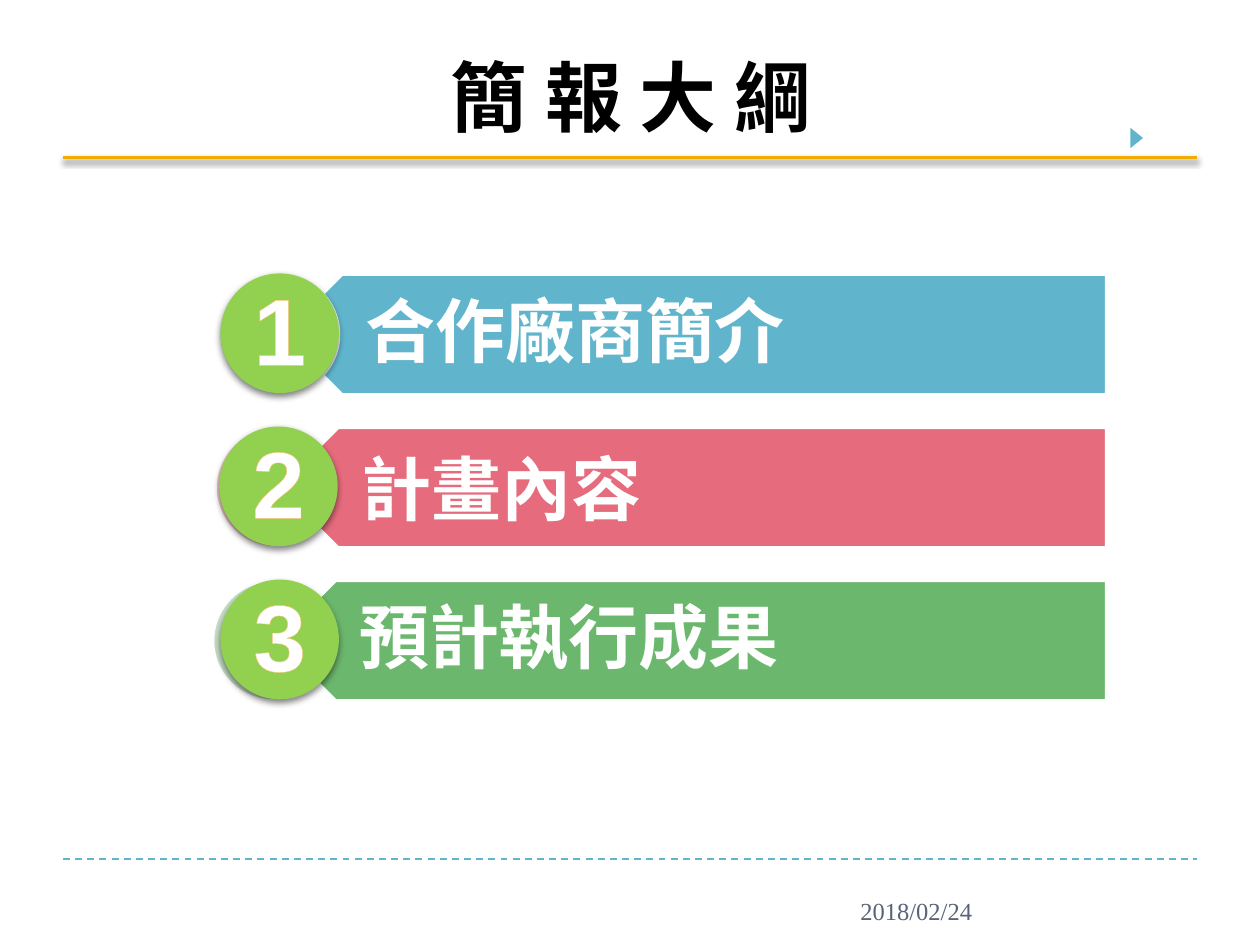
from lxml.etree import SubElement as Sub
from pptx import Presentation
from pptx.dml.color import RGBColor as RGB
from pptx.enum.dml import MSO_LINE as Dash
from pptx.enum.shapes import MSO_CONNECTOR as Conn, MSO_SHAPE as Kind
from pptx.enum.text import MSO_ANCHOR as Anchor, PP_ALIGN as Align
from pptx.oxml.ns import qn
from pptx.util import Inches, Pt

HUES = {"blue": "60B5CC", "rose": "E66C7D", "leaf": "6BB76D", "gold": "F0AD00",
        "lime": "92D050", "white": "FFFFFF", "black": "000000", "slate": "5A6378",
        "glow": "FFC780", "ice": "C5DEE7", "blush": "F3C8CC", "mint": "C7DFC8"}
CJK = "Noto Sans CJK SC"
ROMAN = "Times New Roman"
TOP, STEP, HIGH, RIGHT = 2.18, 1.215, 0.95, 8.78
ITEMS = [("合作廠商簡介", "blue", "ice", 2.24, 1.75, 0.9),
         ("計畫內容", "rose", "blush", 2.21, 1.74, 1.0),
         ("預計執行成果", "leaf", "mint", 2.19, 1.75, 0.9)]


def hue(name):
    """Return the named colour."""
    return RGB.from_string(HUES[name])


def shade(shape, blur=0, dist=0, alpha=0):
    """Give a shape a downward shadow, or none when blur is zero."""
    effect = Sub(shape._element.spPr, qn("a:effectLst"))
    if blur:
        outer = Sub(effect, qn("a:outerShdw"), blurRad=str(Pt(blur)),
                    dist=str(Pt(dist)), dir="5400000", rotWithShape="0")
        color = Sub(outer, qn("a:srgbClr"), val=HUES["black"])
        Sub(color, qn("a:alpha"), val=str(alpha * 1000))


def style(para, size, font, color, bold=False):
    """Format the runs of a paragraph."""
    for run in para.runs:
        run.font.size, run.font.bold, run.font.name = Pt(size), bold, font
        run.font.color.rgb = hue(color)
        Sub(run._r.get_or_add_rPr(), qn("a:ea"), typeface=CJK)


def form(slide, kind, box, fill, edge=None):
    """Add a filled preset shape."""
    shape = slide.shapes.add_shape(kind, *map(Inches, box))
    shape.fill.solid()
    shape.fill.fore_color.rgb = hue(fill)
    if edge:
        shape.line.color.rgb = hue(edge)
        shape.line.width = Pt(1.5)
    else:
        shape.line.fill.background()
    return shape


def label(slide, box, text, wrap=True):
    """Add a text box and return its frame."""
    frame = slide.shapes.add_textbox(*map(Inches, box)).text_frame
    frame.word_wrap = wrap
    frame.text = text
    return frame


def rule(slide, top, color, width):
    """Draw a line across the slide between its margins."""
    line = slide.shapes.add_connector(
        Conn.STRAIGHT, Inches(0.5), Inches(top), Inches(9.5), Inches(top))
    line.line.color.rgb = hue(color)
    line.line.width = Pt(width)
    return line


def frame_page(slide):
    """Draw the rules and the corner marker."""
    foot = rule(slide, 6.82, "blue", 1)
    foot.line.dash_style = Dash.DASH
    shade(foot)
    shade(rule(slide, 1.25, "gold", 2.25), 3, 2, 40)
    mark = form(slide, Kind.ISOSCELES_TRIANGLE, (8.92, 1.03, 0.21, 0.13), "blue", "white")
    mark.rotation = 90
    mark.shadow.inherit = False


def head(slide, box, text):
    """Place and format the title."""
    title = slide.shapes.title
    title.left, title.top, title.width, title.height = map(Inches, box)
    title.text_frame.text = text
    title.text_frame.vertical_anchor = Anchor.BOTTOM
    para = title.text_frame.paragraphs[0]
    para.alignment = Align.CENTER
    style(para, 44, ROMAN, "black", True)


def banner(slide, box, text, color, pale, space):
    """Draw an arrow bar with its text and the pale disc at its tip."""
    left, top, width, high = box
    bar = form(slide, Kind.PENTAGON, box, color, "white")
    bar.rotation = 180
    bar.shadow.inherit = False
    frame = label(slide, (left + 0.24, top, width - 0.24, high), text)
    frame.vertical_anchor = Anchor.MIDDLE
    frame.margin_left, frame.margin_right = Inches(0.42), Inches(0.31)
    frame.margin_top = frame.margin_bottom = Inches(0.17)
    para = frame.paragraphs[0]
    para.line_spacing = space
    if space < 1:
        para.space_after = Pt(14)
    style(para, 40, CJK, "white", True)
    disc = form(slide, Kind.OVAL, (left - 0.5, top, high, high), pale, "white")
    disc.shadow.inherit = False


def badge(slide, box, text):
    """Draw a numbered disc."""
    left, top, width, high = box
    shade(form(slide, Kind.OVAL, box, "lime"), 4, 2, 50)
    frame = label(slide, (left + 0.16, top - 0.07, width - 0.32, 1.01), text, False)
    para = frame.paragraphs[0]
    para.alignment = Align.CENTER
    style(para, 54, "Arial", "white", True)
    props = para.runs[0]._r.get_or_add_rPr()
    line = Sub(props, qn("a:ln"), w=str(Pt(2.48)))
    Sub(Sub(line, qn("a:solidFill")), qn("a:srgbClr"), val=HUES["glow"])
    props.insert(0, line)


def main():
    """Build the outline slide."""
    deck = Presentation()
    deck.slide_width, deck.slide_height = Inches(10), Inches(7.5)
    slide = deck.slides.add_slide(deck.slide_layouts[5])
    frame_page(slide)
    head(slide, (0.51, 0.21, 9, 0.97), "簡 報 大 綱")
    for row, (text, color, pale, left, disc, space) in enumerate(ITEMS):
        top = TOP + row * STEP
        banner(slide, (left, top, RIGHT - left, HIGH), text, color, pale, space)
        badge(slide, (disc, top - 0.01, 0.94, HIGH), str(row + 1))
    date = label(slide, (6.73, 7.06, 1.43, 0.28), "2018/02/24")
    style(date.paragraphs[0], 14, ROMAN, "slate")
    deck.save("out.pptx")


if __name__ == "__main__":
    main()
